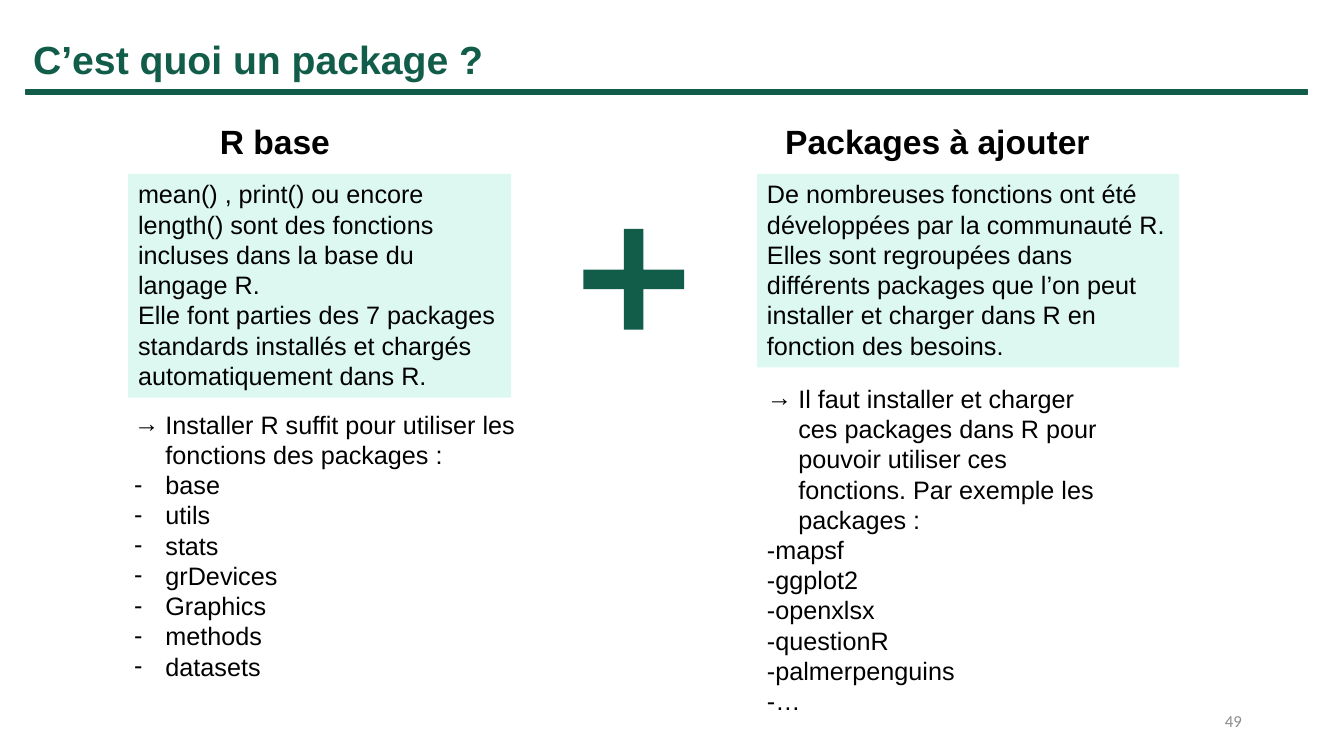
from dataclasses import dataclass

from lxml.etree import SubElement
from pptx import Presentation
from pptx.dml.color import RGBColor
from pptx.enum.shapes import MSO_SHAPE as Preset
from pptx.enum.text import MSO_ANCHOR as Anchor, PP_ALIGN as Align
from pptx.oxml.ns import qn
from pptx.util import Cm, Pt

GREEN, MINT, BLACK, GREY = "125D4A", "DCF8F1", "000000", "8C8C8C"
HANGING = Cm(0.79)


@dataclass
class Box:
    """A rectangle in centimetres."""
    left: float
    top: float
    width: float
    height: float

    def lengths(self):
        """Return the four sides as lengths."""
        return [Cm(side) for side in (self.left, self.top, self.width, self.height)]


def color(hex_code):
    """Turn a hex string into a colour."""
    return RGBColor.from_string(hex_code)


def write(frame, lines, size=18, hue=BLACK, bold=False, font="Arial",
          align=Align.LEFT, anchor=Anchor.TOP):
    """Fill a text frame with one paragraph per line."""
    frame.word_wrap = True
    frame.vertical_anchor = anchor
    frame.text = "\n".join(lines)
    for paragraph in frame.paragraphs:
        paragraph.alignment = align
        for run in paragraph.runs:
            run.font.size, run.font.bold, run.font.name = Pt(size), bold, font
            run.font.color.rgb = color(hue)


def add_text(slide, box, lines, **style):
    """Add a text box and return its frame."""
    frame = slide.shapes.add_textbox(*box.lengths()).text_frame
    write(frame, lines, **style)
    return frame


def add_block(slide, preset, box, fill):
    """Add a flat filled shape without outline."""
    block = slide.shapes.add_shape(preset, *box.lengths())
    block.shadow.inherit = False
    block.fill.solid()
    block.fill.fore_color.rgb = color(fill)
    block.line.fill.background()
    return block


def add_bullet(paragraph, mark):
    """Give a paragraph a hanging bullet."""
    properties = paragraph._p.get_or_add_pPr()
    properties.set("marL", str(HANGING))
    properties.set("indent", str(-HANGING))
    SubElement(properties, qn("a:buFont"), typeface="Arial")
    SubElement(properties, qn("a:buChar"), char=mark)


def add_header(slide, box, title):
    """Place the title and the rule under it."""
    heading = slide.shapes.title
    heading.left, heading.top, heading.width, heading.height = box.lengths()
    write(heading.text_frame, [title], size=28, hue=GREEN, bold=True)
    rule_box = Box(box.left + 0.08, box.top + 1.5, 32.28, 0.13)
    rule = add_block(slide, Preset.RECTANGLE, rule_box, GREEN)
    rule.line.color.rgb = color(GREEN)
    rule.line.width = Pt(1)


def add_column(slide, panel_box, heading, heading_shift, description, list_box, items, marks):
    """Place a heading, a tinted description and a list."""
    heading_box = Box(panel_box.left + heading_shift, panel_box.top - 1.45, 9.4, 1.27)
    add_text(slide, heading_box, [heading], size=24, bold=True)
    panel = add_block(slide, Preset.RECTANGLE, panel_box, MINT)
    write(panel.text_frame, description)
    packages = add_text(slide, list_box, items)
    for paragraph, mark in zip(packages.paragraphs, marks):
        add_bullet(paragraph, mark)


def add_plus(slide, box):
    """Place the plus sign between the columns."""
    plus = add_block(slide, Preset.CROSS, box, GREEN)
    plus.adjustments[0] = 0.403


def main():
    """Build and save the slide."""
    deck = Presentation()
    deck.slide_width, deck.slide_height = Cm(33.87), Cm(19.05)
    slide = deck.slides.add_slide(deck.slide_layouts[5])

    add_header(slide, Box(0.58, 0.76, 12.75, 1.45), "C’est quoi un package ?")
    base = ["base", "utils", "stats", "grDevices", "Graphics", "methods", "datasets"]
    add_column(
        slide, Box(3.23, 4.38, 9.65, 5.64), "R base", 2.06,
        ["mean() , print() ou encore length() sont des fonctions incluses dans "
         "la base du langage R.",
         "Elle font parties des 7 packages standards installés et chargés "
         "automatiquement dans R."],
        Box(3.13, 10.18, 10.24, 7.19),
        ["Installer R suffit pour utiliser les fonctions des packages :", *base],
        ["→"] + ["-"] * len(base))
    add_plus(slide, Box(14.7, 5.77, 2.54, 2.54))
    extras = ["mapsf", "ggplot2", "openxlsx", "questionR", "palmerpenguins", "…"]
    add_column(
        slide, Box(19.08, 4.38, 10.64, 4.88), "Packages à ajouter", 0.46,
        ["De nombreuses fonctions ont été développées par la communauté R. "
         "Elles sont regroupées dans différents packages que l’on peut installer "
         "et charger dans R en fonction des besoins."],
        Box(19.08, 9.53, 9.02, 9.5),
        ["Il faut installer et charger ces packages dans R pour pouvoir utiliser "
         "ces fonctions. Par exemple les packages :",
         *(f"-{name}" for name in extras)],
        ["→"])
    add_text(slide, Box(23.93, 17.65, 7.62, 1.02), ["49"], size=12, hue=GREY,
             font="Calibri", align=Align.RIGHT, anchor=Anchor.MIDDLE)
    deck.save("out.pptx")


if __name__ == "__main__":
    main()
